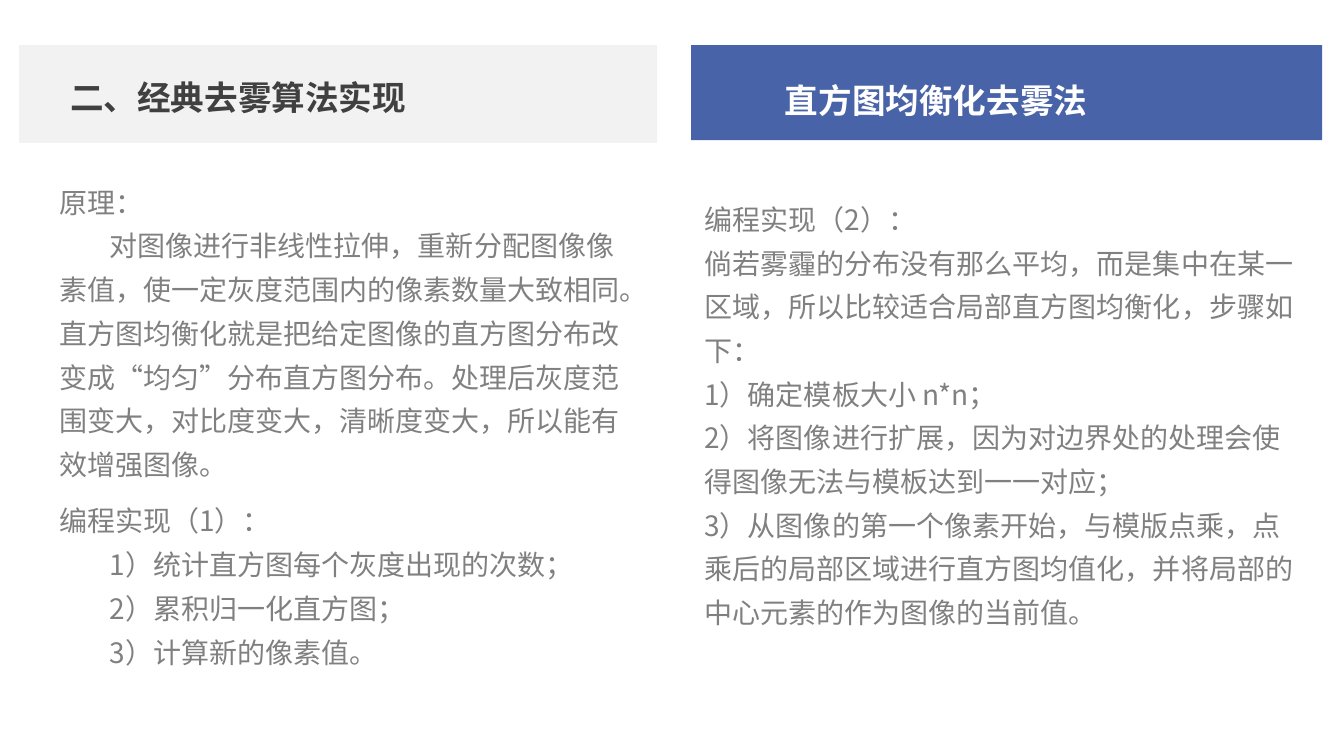
from pptx import Presentation
from pptx import util as u
from pptx.dml.color import RGBColor
from pptx.enum import shapes
from pptx.oxml.ns import qn
from lxml import etree

FONT = "Noto Sans CJK SC"
PITCH = u.Pt(31.2)
INDENT = u.Cm(1.27)


def color(fmt, code):
    fmt.rgb = RGBColor.from_string(code)


def bar(slide, x, y, w, h, code):
    box = slide.shapes.add_shape(
        shapes.MSO_SHAPE.RECTANGLE, u.Cm(x), u.Cm(y), u.Cm(w), u.Cm(h))
    box.shadow.inherit = False
    box.fill.solid()
    color(box.fill.fore_color, code)
    box.line.fill.background()


def style(para, size, code, bold):
    para.line_spacing = PITCH
    for run in para.runs:
        run.font.size = u.Pt(size)
        run.font.bold = bold
        run.font.name = FONT
        color(run.font.color, code)
        east = etree.SubElement(run.font._element, qn("a:ea"))
        east.set("typeface", FONT)


def write(slide, x, y, w, h, lines, size=20, code="808080", bold=False,
          indent=False):
    """Add a text box; indent shifts the first line of all but the first paragraph."""
    box = slide.shapes.add_textbox(u.Cm(x), u.Cm(y), u.Cm(w), u.Cm(h))
    frame = box.text_frame
    frame.word_wrap = True
    frame.text = "\n".join(lines)
    for i, para in enumerate(frame.paragraphs):
        style(para, size, code, bold)
        if indent and i:
            para._p.get_or_add_pPr().set("indent", str(INDENT))


def main():
    deck = Presentation()
    deck.slide_width, deck.slide_height = u.Cm(33.87), u.Cm(19.05)
    slide = deck.slides.add_slide(deck.slide_layouts[6])

    bar(slide, 17.42, 1.14, 15.9, 2.39, "4963A8")
    write(slide, 19.53, 1.8, 9.55, 1.27, ["直方图均衡化去雾法"],
          24, "FFFFFF", True)
    bar(slide, 0.48, 1.14, 16.08, 2.46, "F2F2F2")
    write(slide, 1.52, 1.73, 10.92, 1.27, ["二、经典去雾算法实现"],
          24, "404040", True)

    write(slide, 1.24, 4.29, 15.14, 8.03, [
        "原理：",
        "对图像进行非线性拉伸，重新分配图像像素值，使一定灰度范围内的像素数量大致相同。"
        "直方图均衡化就是把给定图像的直方图分布改变成“均匀”分布直方图分布。"
        "处理后灰度范围变大，对比度变大，清晰度变大，所以能有效增强图像。",
    ], indent=True)
    write(slide, 1.24, 12.32, 15.72, 4.7, [
        "编程实现（1）：",
        "1）统计直方图每个灰度出现的次数；",
        "2）累积归一化直方图；",
        "3）计算新的像素值。",
    ], indent=True)
    write(slide, 17.5, 4.72, 15.72, 12.47, [
        "编程实现（2）：",
        "倘若雾霾的分布没有那么平均，而是集中在某一区域，所以比较适合局部直方图均衡化，步骤如下：",
        "1）确定模板大小 n*n；",
        "2）将图像进行扩展，因为对边界处的处理会使得图像无法与模板达到一一对应；",
        "3）从图像的第一个像素开始，与模版点乘，点乘后的局部区域进行直方图均值化，"
        "并将局部的中心元素的作为图像的当前值。",
    ])
    deck.save("out.pptx")


if __name__ == "__main__":
    main()
